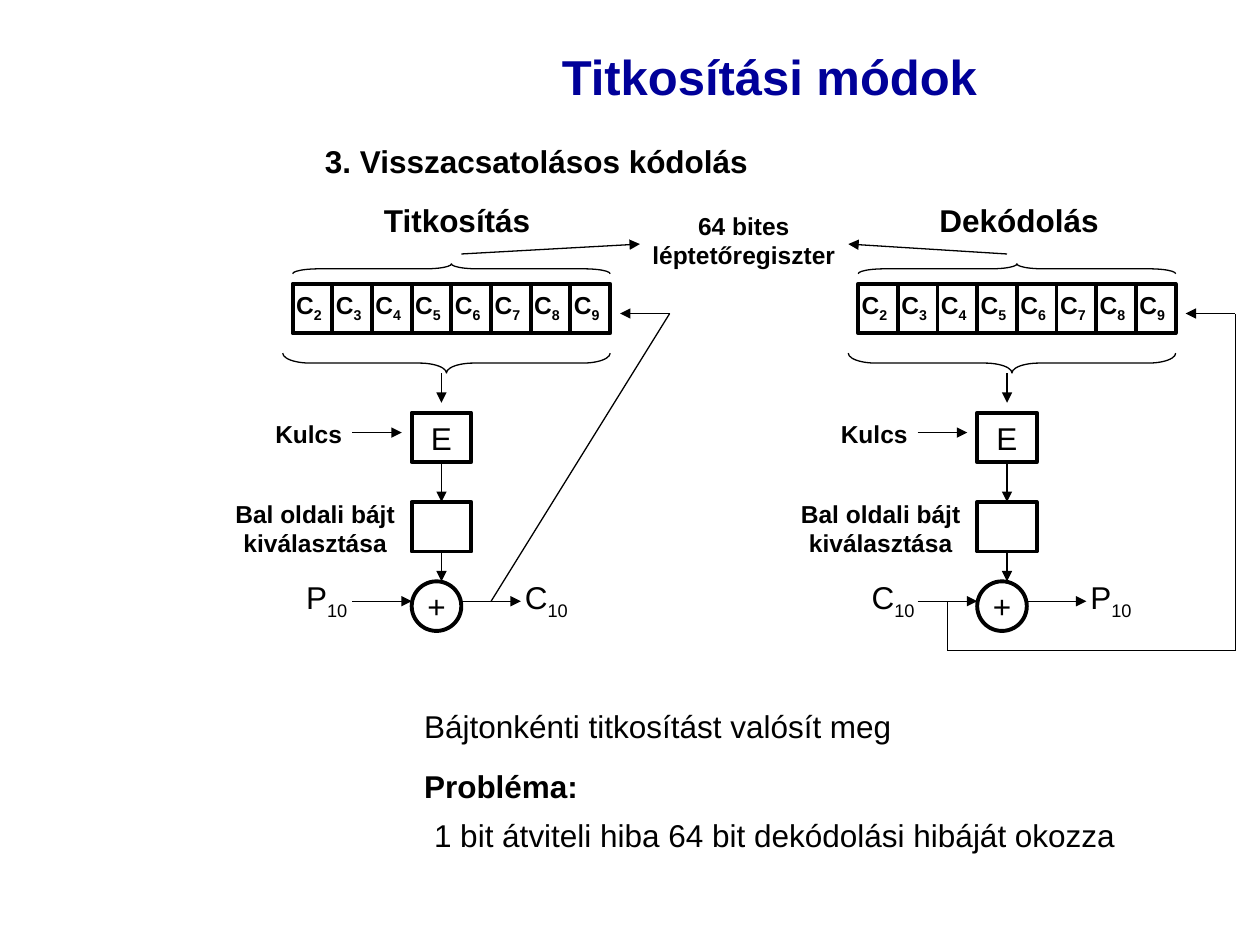
from lxml.etree import SubElement
from pptx import Presentation
from pptx.dml.color import RGBColor
from pptx.enum.shapes import MSO_CONNECTOR as Connector, MSO_SHAPE as Shape
from pptx.enum.text import MSO_ANCHOR as Anchor, MSO_AUTO_SIZE as AutoSize, PP_ALIGN as Align
from pptx.oxml.ns import qn
from pptx.util import Cm, Pt

BLACK = RGBColor(0x00, 0x00, 0x00)
NAVY = RGBColor(0x00, 0x00, 0x99)
FONT = "Arial"
THIN, THICK = 0.75, 2.25

# All lengths are in centimetres; an underscore marks the start of a subscript.
TITLE = "Titkosítási módok"
NOTES = [  # text, left, top, width, bold
    ("3. Visszacsatolásos kódolás", 6.3, 2.73, 9.06, True),
    ("Bájtonkénti titkosítást valósít meg", 8.3, 14.12, 9.95, False),
    ("Probléma:", 8.3, 15.33, 3.63, True),
    ("1 bit átviteli hiba 64 bit dekódolási hibáját okozza", 8.5, 16.33, 14.26, False),
]
REGISTER_LABEL = ["64 bites", "léptetőregiszter"]
REGISTER = ["C_2", "C_3", "C_4", "C_5", "C_6", "C_7", "C_8", "C_9"]
HALVES = [  # shift, heading, heading left, heading width, input, output, feedback path
    (0, "Titkosítás", 7.49, 3.5, "P_10", "C_10", [(9.9, 12.12), (13.5, 6.32)]),
    (11.4, "Dekódolás", 7.29, 3.75, "C_10", "P_10",
     [(7.7, 12.12), (7.7, 13.12), (13.5, 13.12), (13.5, 6.32)]),
]
ARROWS = [  # the same in both halves
    ((8.9, 7.52), (8.9, 8.12)),
    ((8.9, 9.32), (8.9, 10.12)),
    ((8.9, 11.12), (8.9, 11.72)),
    ((7.1, 8.72), (8.1, 8.72)),
    ((7.1, 12.12), (8.3, 12.12)),
    ((9.3, 12.12), (10.5, 12.12)),
    ((13.5, 6.32), (12.5, 6.32)),
]
REGISTER_ARROWS = [((9.3, 5.12), (12.9, 4.92)), ((20.3, 5.12), (17.1, 4.92))]

CELL = 0.8
ROW_HEIGHT = 1.0
REGISTER_LEFT, REGISTER_TOP = 5.9, 5.72
REGISTER_WIDTH = CELL * len(REGISTER)


def write(frame, lines, size=18, bold=False, color=BLACK, align=Align.LEFT):
    """Fill a text frame, one paragraph a line."""
    frame.word_wrap = False
    for index, line in enumerate([lines] if isinstance(lines, str) else lines):
        paragraph = frame.paragraphs[0] if index == 0 else frame.add_paragraph()
        paragraph.alignment = align
        base, _, subscript = line.partition("_")
        for part in filter(None, (base, subscript)):
            run = paragraph.add_run()
            run.text = part
            run.font.name, run.font.size = FONT, Pt(size)
            run.font.bold, run.font.color.rgb = bold, color
            if part is subscript:
                run._r.get_or_add_rPr().set("baseline", "-25000")


def add_label(slide, lines, left, top, width, height=1.02, **style):
    label = slide.shapes.add_textbox(Cm(left), Cm(top), Cm(width), Cm(height))
    write(label.text_frame, lines, **style)
    label.text_frame.auto_size = AutoSize.SHAPE_TO_FIT_TEXT


def add_outline(slide, kind, left, top, width, height, weight=THICK, text=""):
    outline = slide.shapes.add_shape(kind, Cm(left), Cm(top), Cm(width), Cm(height))
    outline.shadow.inherit = False
    outline.fill.background()
    outline.line.color.rgb = BLACK
    outline.line.width = Pt(weight)
    if text:
        outline.text_frame.vertical_anchor = Anchor.MIDDLE
        write(outline.text_frame, text, align=Align.CENTER)
    return outline


def add_brace(slide, kind, left, top, length, depth):
    """Lay a vertical brace on its side; left and top are those of the turned shape."""
    brace = add_outline(slide, kind, left + (length - depth) / 2,
                        top - (length - depth) / 2, depth, length, THIN)
    brace.rotation = 90
    brace.adjustments[0] = length / 12 / depth


def add_line(slide, start, end, shift=0, weight=THIN, arrow=False):
    (x1, y1), (x2, y2) = start, end
    line = slide.shapes.add_connector(Connector.STRAIGHT, Cm(x1 + shift), Cm(y1),
                                      Cm(x2 + shift), Cm(y2))
    line.line.color.rgb = BLACK
    line.line.width = Pt(weight)
    if arrow:
        SubElement(line.line._get_or_add_ln(), qn("a:tailEnd"), type="triangle")
    SubElement(line._element.spPr, qn("a:effectLst"))


def add_register(slide, shift):
    left = REGISTER_LEFT + shift
    for inset in range(len(REGISTER) // 2):
        add_outline(slide, Shape.RECTANGLE, left + inset * CELL, REGISTER_TOP,
                    REGISTER_WIDTH - 2 * inset * CELL, ROW_HEIGHT)
    middle = left + REGISTER_WIDTH / 2
    add_line(slide, (middle, REGISTER_TOP), (middle, REGISTER_TOP + ROW_HEIGHT), weight=THICK)
    for index, byte in enumerate(REGISTER):
        add_label(slide, byte, left - 0.18 + index * CELL, REGISTER_TOP, 1.02, 0.94,
                  size=14, bold=True)
    add_brace(slide, Shape.LEFT_BRACE, left, 5.32, REGISTER_WIDTH, 0.2)
    add_brace(slide, Shape.RIGHT_BRACE, left - 0.2, 7.12, REGISTER_WIDTH + 0.2, 0.4)


def add_half(slide, shift, heading, heading_left, heading_width, source, result, feedback):
    add_label(slide, heading, heading_left + shift, 3.93, heading_width, bold=True)
    add_register(slide, shift)
    add_outline(slide, Shape.RECTANGLE, 8.3 + shift, 8.32, 1.2, ROW_HEIGHT, text="E")
    add_outline(slide, Shape.RECTANGLE, 8.3 + shift, 10.12, 1.2, ROW_HEIGHT)
    add_outline(slide, Shape.OVAL, 8.3 + shift, 11.72, 1, ROW_HEIGHT, text="+")
    add_label(slide, "Kulcs", 5.3 + shift, 8.32, 1.85, 0.86, size=14, bold=True)
    add_label(slide, ["Bal oldali bájt", "kiválasztása"], 4.49 + shift, 9.93, 3.73, 1.45,
              size=14, bold=True, align=Align.CENTER)
    add_label(slide, source, 5.92 + shift, 11.53, 1.4, 1.12)
    add_label(slide, result, 10.33 + shift, 11.53, 1.4, 1.12)
    for start, end in ARROWS:
        add_line(slide, start, end, shift, arrow=True)
    for start, end in zip(feedback, feedback[1:]):
        add_line(slide, start, end, shift)


def main():
    deck = Presentation()
    deck.slide_width, deck.slide_height = Cm(25.4), Cm(19.05)
    slide = deck.slides.add_slide(deck.slide_layouts[5])

    title = slide.shapes.title
    title.left, title.top, title.width, title.height = Cm(6.9), Cm(0.53), Cm(17.22), Cm(2)
    title.text_frame.vertical_anchor = Anchor.MIDDLE
    write(title.text_frame, TITLE, size=28, bold=True, color=NAVY, align=Align.CENTER)
    title.text_frame.word_wrap = True
    title.text_frame.auto_size = AutoSize.NONE

    for text, left, top, width, bold in NOTES:
        add_label(slide, text, left, top, width, bold=bold)
    for half in HALVES:
        add_half(slide, *half)
    add_label(slide, REGISTER_LABEL, 12.9, 4.12, 4.19, 1.45, size=14, bold=True,
              align=Align.CENTER)
    for start, end in REGISTER_ARROWS:
        add_line(slide, start, end, arrow=True)

    deck.save("out.pptx")


if __name__ == "__main__":
    main()
